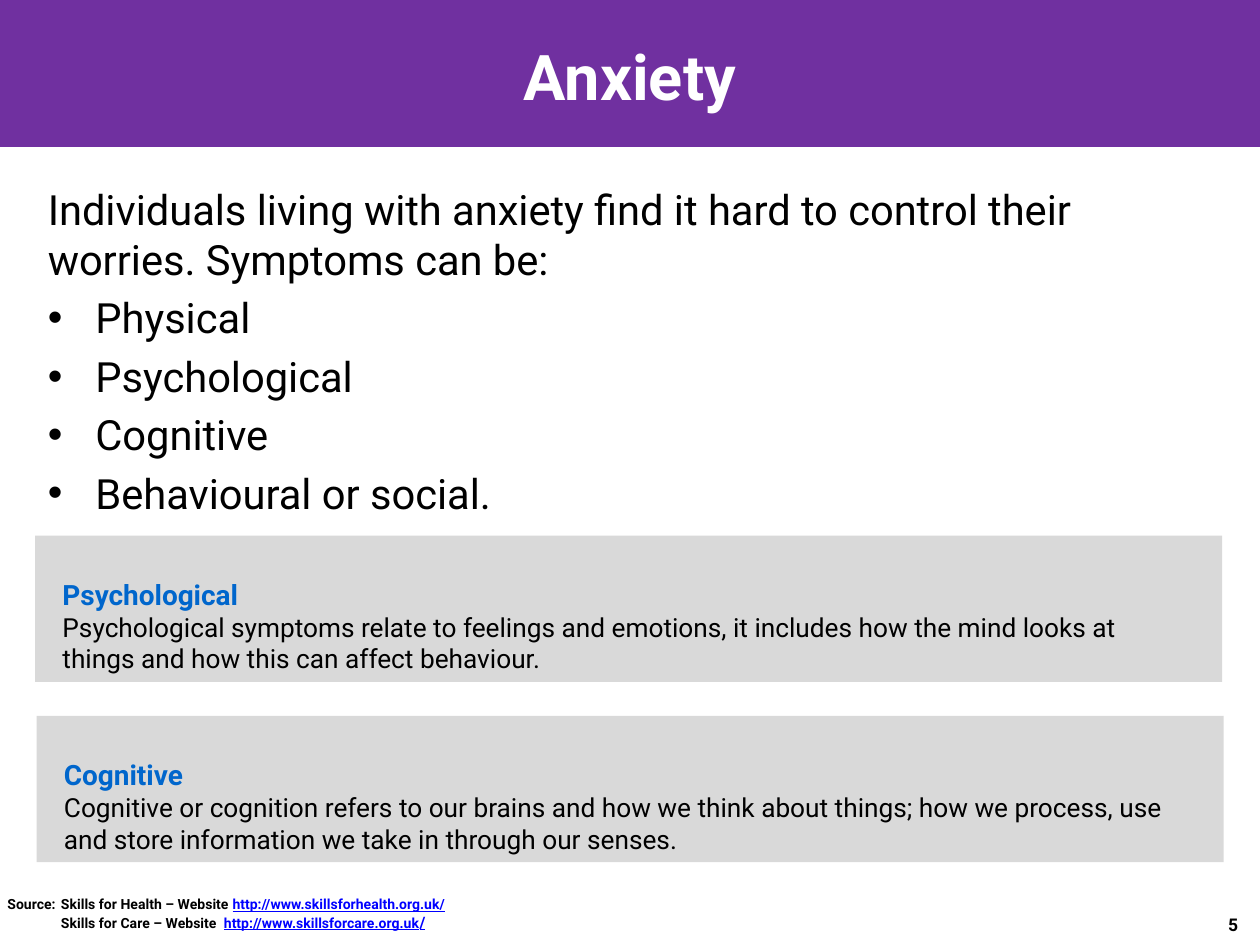
from pptx import Presentation
from pptx.dml.color import RGBColor
from pptx.enum.shapes import MSO_SHAPE as Shape
from pptx.enum.text import MSO_ANCHOR as Anchor, MSO_AUTO_SIZE as AutoSize, PP_ALIGN as Align
from pptx.oxml.ns import qn
from pptx.util import Cm, Pt
from lxml.etree import SubElement

COLORS = {
    "purple": "7030A0",
    "white": "FFFFFF",
    "black": "000000",
    "grey": "D9D9D9",
    "heading": "0066CC",
    "link": "0000FF",
}
FONT = "Roboto"


def add_run(paragraph, text, size=15, color="black", bold=False, underline=False):
    run = paragraph.add_run()
    run.text = text
    font = run.font
    font.name = FONT
    font.size = Pt(size)
    font.bold = bold
    font.underline = underline
    font.color.rgb = RGBColor.from_string(COLORS[color])


def set_indent(paragraph, margin, indent, bullet=None):
    properties = paragraph._p.get_or_add_pPr()
    properties.set("marL", str(Cm(margin)))
    properties.set("indent", str(Cm(indent)))
    if bullet:
        SubElement(properties, qn("a:buChar"), char=bullet)
    else:
        SubElement(properties, qn("a:buNone"))


class SlideBuilder:
    def __init__(self, presentation):
        self.slide = presentation.slides.add_slide(presentation.slide_layouts[1])
        self.shapes = self.slide.shapes

    def place(self, shape, left, top, width, height):
        shape.left, shape.top = Cm(left), Cm(top)
        shape.width, shape.height = Cm(width), Cm(height)

    def rectangle(self, shapes, left, top, width, height, color):
        shape = shapes.add_shape(Shape.RECTANGLE, Cm(left), Cm(top), Cm(width), Cm(height))
        shape.shadow.inherit = False
        shape.fill.solid()
        shape.fill.fore_color.rgb = RGBColor.from_string(COLORS[color])
        shape.line.fill.background()
        return shape

    def text_box(self, shapes, left, top, width, height, lines, wrap=True):
        shape = shapes.add_textbox(Cm(left), Cm(top), Cm(width), Cm(height))
        frame = shape.text_frame
        frame.word_wrap = wrap
        frame.auto_size = AutoSize.SHAPE_TO_FIT_TEXT
        for index, runs in enumerate(lines):
            paragraph = frame.add_paragraph() if index else frame.paragraphs[0]
            for text, style in runs:
                add_run(paragraph, text, **style)
        return frame

    def title(self, text):
        band = self.rectangle(self.shapes, 0, 0, 25.4, 2.92, "purple")
        band.line.color.rgb = RGBColor.from_string(COLORS["purple"])
        band.line.width = Pt(2)
        self.shapes._spTree.insert(2, band._element)
        title = self.shapes.title
        self.place(title, 0, -0.08, 25.4, 3.18)
        title.text_frame.vertical_anchor = Anchor.MIDDLE
        paragraph = title.text_frame.paragraphs[0]
        paragraph.alignment = Align.CENTER
        add_run(paragraph, text, size=36, color="white", bold=True)

    def body(self, intro, items):
        body = self.slide.placeholders[1]
        self.place(body, 0.71, 3.58, 23.93, 6.25)
        frame = body.text_frame
        frame.auto_size = AutoSize.NONE
        for index, text in enumerate([intro, *items]):
            paragraph = frame.add_paragraph() if index else frame.paragraphs[0]
            paragraph.space_before = Pt(4.8 if index else 0)
            if index:
                set_indent(paragraph, 0.96, -0.96, "•")
            else:
                set_indent(paragraph, 0, 0)
            add_run(paragraph, text, size=23.8)

    def card(self, left, top, heading, text):
        group = self.shapes.add_group_shape()
        self.rectangle(group.shapes, left, top, 23.93, 2.95, "grey")
        self.text_box(group.shapes, left + 0.3, top + 0.72, 23.2, 2.24, [
            [(heading, dict(size=16, color="heading", bold=True))],
            [(text, {})],
        ])

    def sources(self, lines):
        label = dict(size=8, bold=True)
        link = dict(label, color="link", underline=True)
        frame = self.text_box(self.shapes, -0.1, 17.93, 10.92, 0.99, [
            [(text, label), (address, link), ("/", dict(link, size=size))]
            for text, address, size in lines
        ])
        for paragraph, indent in zip(frame.paragraphs, (-1.08, 0)):
            set_indent(paragraph, 1.08, indent)

    def page_number(self, number):
        self.text_box(self.shapes, 24.51, 18.31, 0.81, 0.69,
                      [[(number, dict(size=10, bold=True))]], wrap=False)


def main():
    presentation = Presentation()
    presentation.slide_width, presentation.slide_height = Cm(25.4), Cm(19.05)
    builder = SlideBuilder(presentation)
    builder.title("Anxiety")
    builder.body(
        "Individuals living with anxiety find it hard to control their worries. Symptoms can be:",
        ["Physical", "Psychological", "Cognitive", "Behavioural or social."],
    )
    builder.card(0.71, 10.8, "Psychological",
                 "Psychological symptoms relate to feelings and emotions, it includes how the "
                 "mind looks at things and how this can affect behaviour.")
    builder.card(0.74, 14.43, "Cognitive",
                 "Cognitive or cognition refers to our brains and how we think about things; "
                 "how we process, use and store information we take in through our senses.")
    builder.sources([
        ("Source:\tSkills for Health – Website ", "http://www.skillsforhealth.org.uk", 8),
        ("Skills for Care – Website  ", "http://www.skillsforcare.org.uk", 9),
    ])
    builder.page_number("5")
    presentation.save("out.pptx")


if __name__ == "__main__":
    main()
